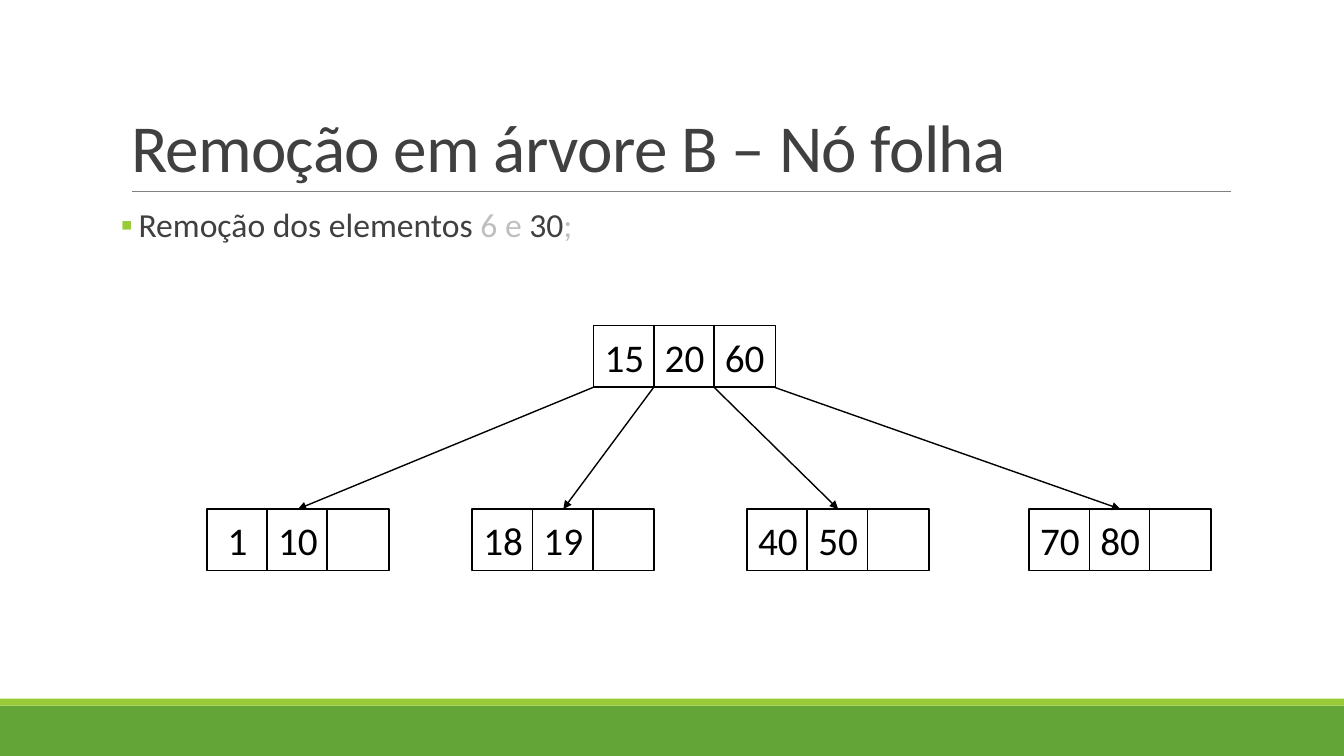
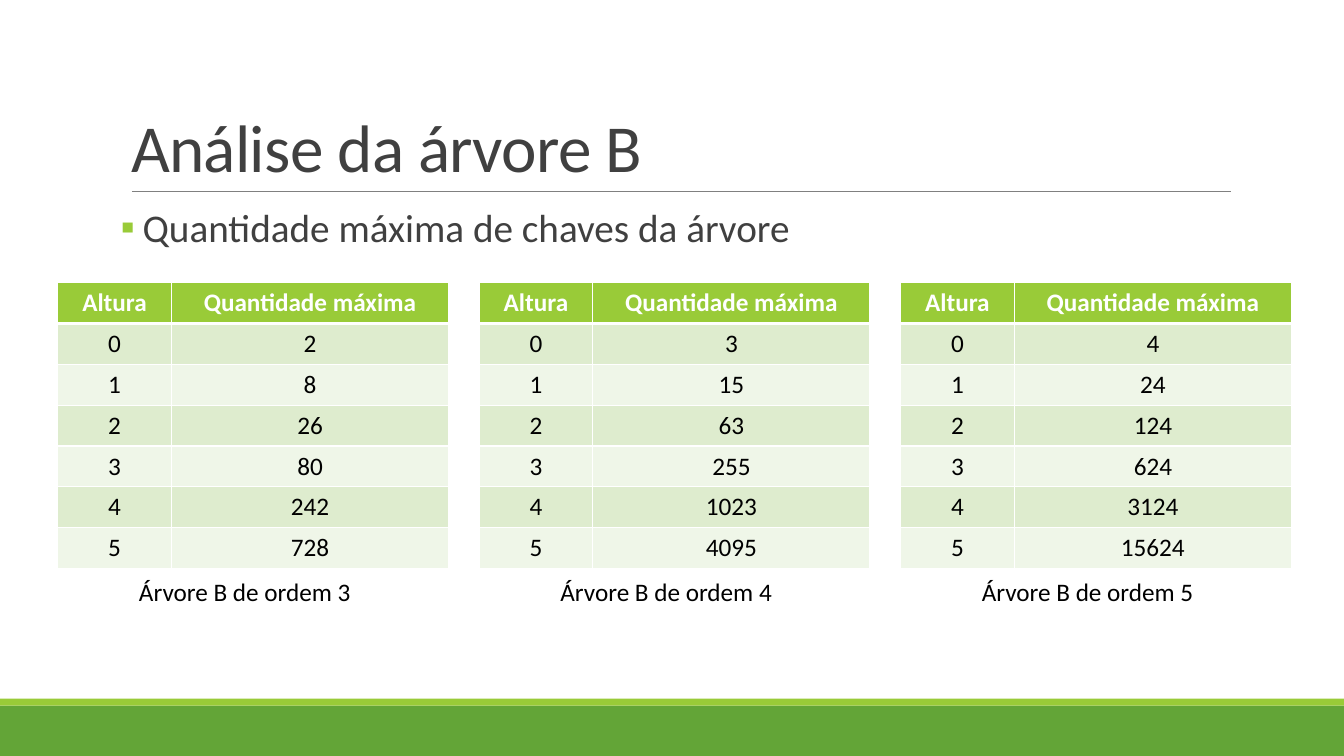
from dataclasses import dataclass
from typing import Any, NamedTuple

from lxml.etree import SubElement
from pptx import Presentation
from pptx.dml.color import RGBColor
from pptx.enum.shapes import MSO_CONNECTOR, MSO_SHAPE
from pptx.enum.text import MSO_ANCHOR, MSO_AUTO_SIZE, PP_ALIGN
from pptx.oxml.ns import qn
from pptx.shapes.autoshape import Shape
from pptx.shapes.connector import Connector
from pptx.slide import Slide
from pptx.table import _Cell
from pptx.text.text import _Run
from pptx.util import Pt


# Theme: colours, type sizes and font
@dataclass(frozen=True)
class Theme:
    font: str = "Calibri"
    green: str = "63A537"
    lime: str = "99CB38"
    band_dark: str = "DEECCE"
    band_light: str = "EFF6E8"
    text: str = "404040"
    muted: str = "BFBFBF"
    rule: str = "808080"
    black: str = "000000"
    white: str = "FFFFFF"
    title_size: float = 48
    list_size: float = 24
    large_size: float = 28
    table_size: float = 18


THEME = Theme()


class Box(NamedTuple):
    left: float
    top: float
    width: float
    height: float

    def lengths(self) -> list[Pt]:
        return [Pt(value) for value in self]


class Span(NamedTuple):
    text: str
    color: str = THEME.text


@dataclass(frozen=True)
class Node:
    left: float
    top: float
    keys: tuple[str, str, str]


# Shared geometry
SLIDE_WIDTH, SLIDE_HEIGHT = 960, 540
TITLE_BOX = Box(86.4, 22.3, 792, 114.5)
BODY_BOX = Box(86.4, 145.4, 792, 316.8)
BANDS = (
    (Box(0, 504, SLIDE_WIDTH, 36), THEME.green),
    (Box(0, 499, SLIDE_WIDTH, 5), THEME.lime),
)
RULE_LEFT, RULE_RIGHT, RULE_TOP = 94.3, 879.1, 136.8

# Tree geometry and content
CELL_SIZE, CELL_STEP = 44, 43
ROOT = Node(424, 232.6, ("15", "20", "60"))
LEAF_TOP = 363.6
LEAVES = (
    Node(147.8, LEAF_TOP, ("1", "10", "")),
    Node(337.4, LEAF_TOP, ("18", "19", "")),
    Node(533.7, LEAF_TOP, ("40", "50", "")),
    Node(735.2, LEAF_TOP, ("70", "80", "")),
)

# Key-count tables
ORDERS = (3, 4, 5)
HEIGHTS = range(6)
TABLE_LEFT, TABLE_TOP, TABLE_STEP = 41.2, 201.8, 301
COLUMN_WIDTHS = (81.3, 198)
ROW_HEIGHT = 29.2
CAPTION_INDENT, CAPTION_TOP = 51, 408.2


def apply(target: Any, formats: dict[str, Any]) -> None:
    for name, value in formats.items():
        setattr(target, name, value)


def rgb(color: str) -> RGBColor:
    return RGBColor.from_string(color)


def style_run(run: _Run, size: float, color: str, bold: bool = False) -> None:
    apply(run.font, {"name": THEME.font, "size": Pt(size), "bold": bold})
    run.font.color.rgb = rgb(color)


def place(shape: Shape, box: Box) -> None:
    apply(shape, dict(zip(box._fields, box.lengths())))


def add_rectangle(shapes: Any, box: Box, fill: str) -> Shape:
    rectangle = shapes.add_shape(MSO_SHAPE.RECTANGLE, *box.lengths())
    rectangle.shadow.inherit = False
    rectangle.fill.solid()
    rectangle.fill.fore_color.rgb = rgb(fill)
    rectangle.line.fill.background()
    return rectangle


def add_line(slide: Slide, start: tuple[float, float], end: tuple[float, float],
             color: str, width: float) -> Connector:
    line = slide.shapes.add_connector(
        MSO_CONNECTOR.STRAIGHT, *(Pt(value) for value in start + end))
    line.line.color.rgb = rgb(color)
    line.line.width = Pt(width)
    SubElement(line.element.spPr, qn("a:effectLst"))
    return line


# Frame common to all slides: bands, rule, title and bulleted line
def add_title(slide: Slide, text: str) -> None:
    title = slide.shapes.title
    place(title, TITLE_BOX)
    apply(title.text_frame, {"vertical_anchor": MSO_ANCHOR.BOTTOM,
                             "auto_size": MSO_AUTO_SIZE.NONE, "word_wrap": True})
    paragraph = title.text_frame.paragraphs[0]
    apply(paragraph, {"alignment": PP_ALIGN.LEFT, "line_spacing": 0.85})
    run = paragraph.add_run()
    run.text = text
    style_run(run, THEME.title_size, THEME.text)
    run.font._element.set("spc", "-50")


def add_bullet(slide: Slide, spans: list[Span], size: float, indent: float) -> None:
    body = slide.placeholders[1]
    place(body, BODY_BOX)
    apply(body.text_frame, {
        "margin_left": 0, "margin_right": 0,
        "margin_top": Pt(3.6), "margin_bottom": Pt(3.6),
        "vertical_anchor": MSO_ANCHOR.TOP,
        "auto_size": MSO_AUTO_SIZE.NONE, "word_wrap": True,
    })
    paragraph = body.text_frame.paragraphs[0]
    properties = paragraph._p.get_or_add_pPr()
    properties.set("marL", str(Pt(indent)))
    properties.set("indent", str(-Pt(indent)))
    bullet_color = SubElement(properties, qn("a:buClr"))
    SubElement(bullet_color, qn("a:srgbClr"), val=THEME.lime)
    SubElement(properties, qn("a:buFont"), typeface=THEME.font)
    SubElement(properties, qn("a:buChar"), char="▪")
    apply(paragraph, {"alignment": PP_ALIGN.LEFT, "line_spacing": 0.9,
                      "space_before": Pt(0), "space_after": Pt(2)})
    for span in spans:
        run = paragraph.add_run()
        run.text = span.text
        style_run(run, size, span.color)


def add_framed_slide(presentation: Any, title: str, spans: list[Span],
                     size: float, indent: float) -> Slide:
    slide = presentation.slides.add_slide(presentation.slide_layouts[1])
    for box, color in BANDS:
        add_rectangle(slide.shapes, box, color)
    add_line(slide, (RULE_LEFT, RULE_TOP), (RULE_RIGHT, RULE_TOP), THEME.rule, 0.5)
    add_title(slide, title)
    add_bullet(slide, spans, size, indent)
    return slide


# Tree nodes and their links
def add_node(slide: Slide, node: Node) -> list[Shape]:
    group = slide.shapes.add_group_shape()
    cells = []
    for position, key in enumerate(node.keys):
        box = Box(node.left + position * CELL_STEP, node.top, CELL_SIZE, CELL_SIZE)
        cell = add_rectangle(group.shapes, box, THEME.white)
        cell.line.color.rgb = rgb(THEME.black)
        cell.line.width = Pt(1.25)
        apply(cell.text_frame, {"margin_left": 0, "margin_right": 0,
                                "vertical_anchor": MSO_ANCHOR.MIDDLE})
        if key:
            paragraph = cell.text_frame.paragraphs[0]
            paragraph.alignment = PP_ALIGN.CENTER
            run = paragraph.add_run()
            run.text = key
            style_run(run, THEME.large_size, THEME.black)
        cells.append(cell)
    return cells


def add_tree(slide: Slide) -> None:
    add_node(slide, ROOT)
    for position, leaf in enumerate(LEAVES):
        middle_cell = add_node(slide, leaf)[1]
        start = (ROOT.left + position * CELL_STEP, ROOT.top + CELL_SIZE)
        end = (leaf.left + CELL_STEP + CELL_SIZE / 2, leaf.top)
        link = add_line(slide, start, end, THEME.black, 1)
        link.end_connect(middle_cell, 0)
        SubElement(link.element.spPr.find(qn("a:ln")), qn("a:tailEnd"), type="triangle")


# Tables of maximum key counts
def set_borders(cell: _Cell, top: float, bottom: float) -> None:
    properties = cell._tc.get_or_add_tcPr()
    for side, width in {"lnL": 1, "lnR": 1, "lnT": top, "lnB": bottom}.items():
        border = SubElement(properties, qn(f"a:{side}"), w=str(Pt(width)))
        fill = SubElement(border, qn("a:solidFill"))
        SubElement(fill, qn("a:srgbClr"), val=THEME.white)


def fill_cell(cell: _Cell, text: str, row: int) -> None:
    header = row == 0
    set_borders(cell, top=3 if row == 1 else 1, bottom=3 if header else 1)
    band = THEME.band_dark if row % 2 else THEME.band_light
    cell.fill.solid()
    cell.fill.fore_color.rgb = rgb(THEME.lime if header else band)
    paragraph = cell.text_frame.paragraphs[0]
    paragraph.alignment = PP_ALIGN.CENTER
    run = paragraph.add_run()
    run.text = text
    style_run(run, THEME.table_size, THEME.white if header else THEME.black, header)


def add_key_table(slide: Slide, order: int, left: float) -> None:
    rows = [("Altura", "Quantidade máxima")]
    rows += [(str(height), str(order ** (height + 1) - 1)) for height in HEIGHTS]
    box = Box(left, TABLE_TOP, sum(COLUMN_WIDTHS), ROW_HEIGHT * len(rows))
    table = slide.shapes.add_table(len(rows), len(COLUMN_WIDTHS), *box.lengths()).table
    for column, width in zip(table.columns, COLUMN_WIDTHS):
        column.width = Pt(width)
    for row, texts in enumerate(rows):
        table.rows[row].height = Pt(ROW_HEIGHT)
        for column, text in enumerate(texts):
            fill_cell(table.cell(row, column), text, row)

    caption_box = Box(left + CAPTION_INDENT, CAPTION_TOP, 167.8, 29)
    caption = slide.shapes.add_textbox(*caption_box.lengths()).text_frame
    apply(caption, {"word_wrap": False, "auto_size": MSO_AUTO_SIZE.SHAPE_TO_FIT_TEXT})
    run = caption.paragraphs[0].add_run()
    run.text = f"Árvore B de ordem {order}"
    style_run(run, THEME.table_size, THEME.black)


def main() -> None:
    presentation = Presentation()
    apply(presentation, {"slide_width": Pt(SLIDE_WIDTH), "slide_height": Pt(SLIDE_HEIGHT)})

    # Removal from a leaf node
    removal = add_framed_slide(
        presentation, "Remoção em árvore B – Nó folha",
        [Span("Remoção dos elementos "), Span("6 e ", THEME.muted),
         Span("30"), Span(";", THEME.muted)],
        THEME.list_size, 12.6)
    add_tree(removal)

    # Analysis of the maximum number of keys
    analysis = add_framed_slide(
        presentation, "Análise da árvore B",
        [Span("Quantidade máxima de chaves da árvore")], THEME.large_size, 15.5)
    for position, order in enumerate(ORDERS):
        add_key_table(analysis, order, TABLE_LEFT + position * TABLE_STEP)

    presentation.save("out.pptx")


if __name__ == "__main__":
    main()
